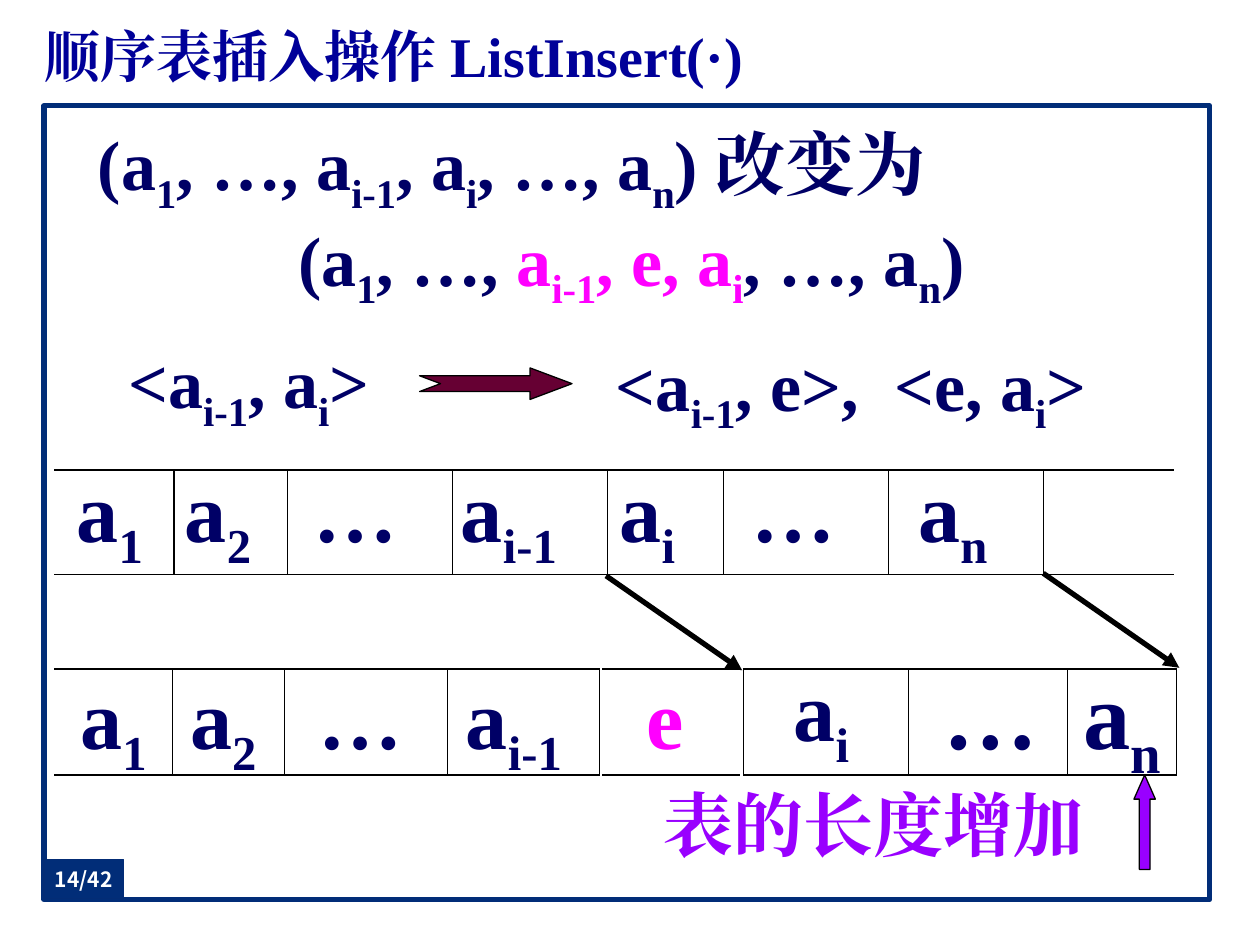
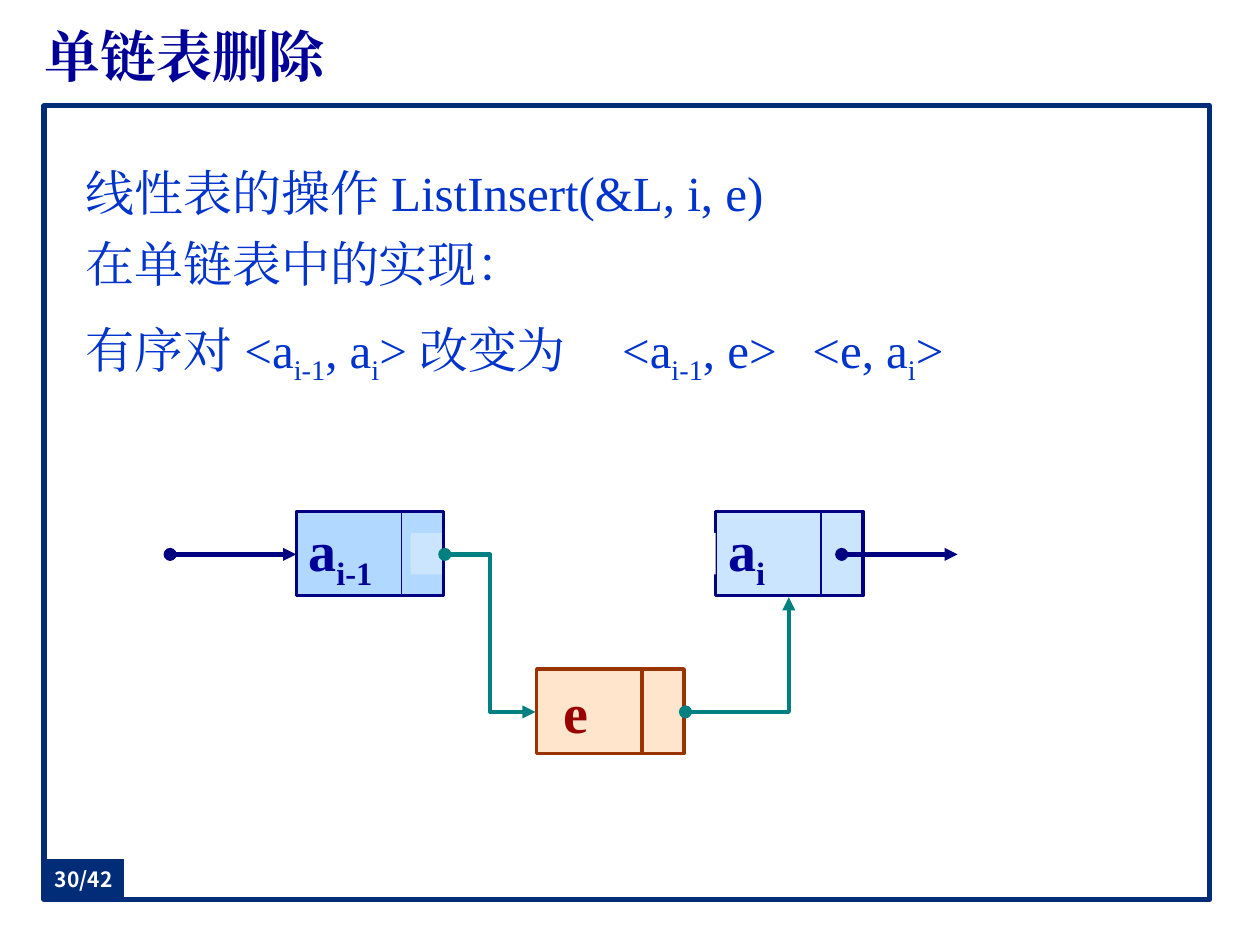
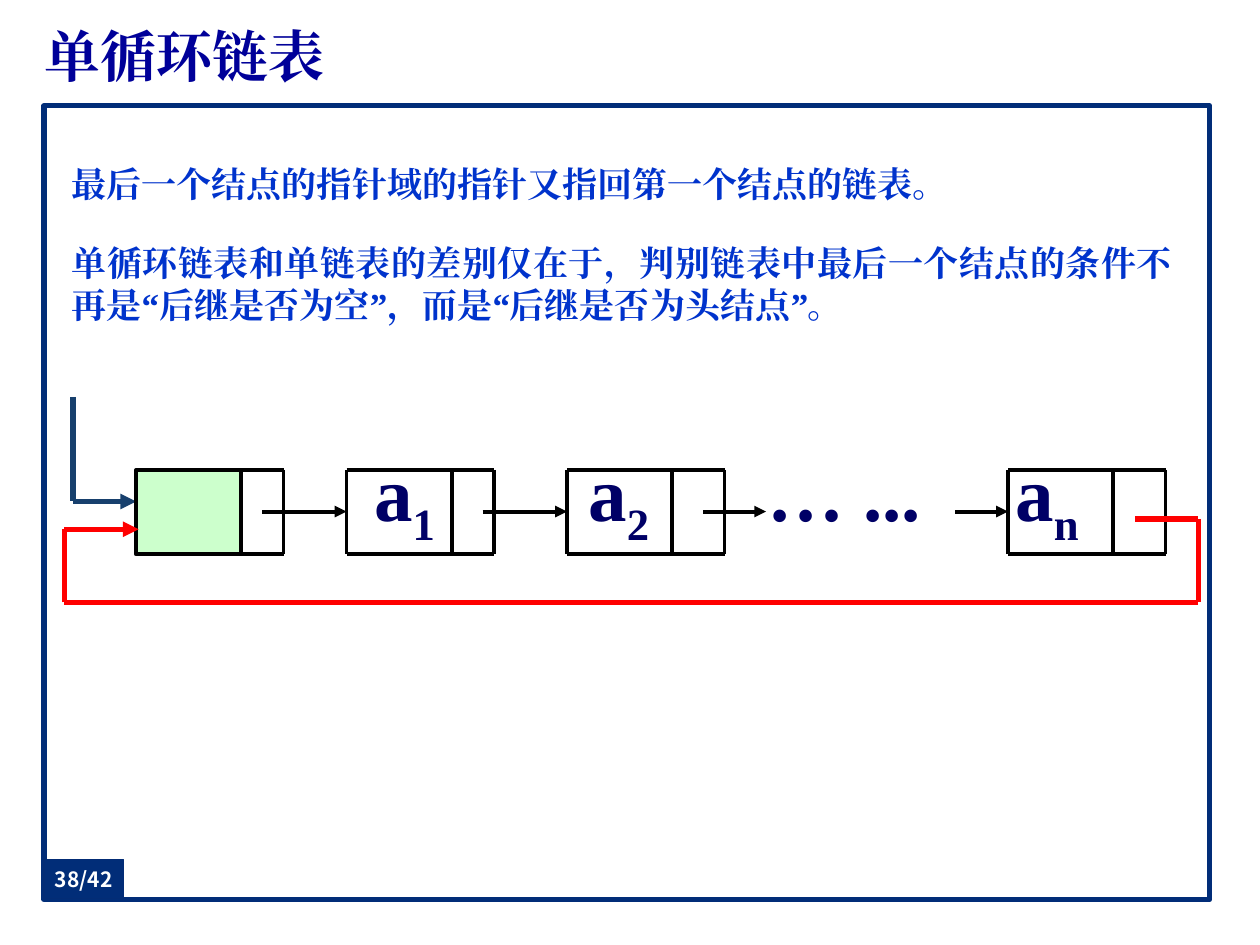
from dataclasses import dataclass
from typing import NamedTuple

from lxml import etree
from pptx import Presentation
from pptx import util as u
from pptx.dml import color as col
from pptx.enum import shapes as sh, text as tx
from pptx.oxml import ns

# Slide size and a grid of 100 columns by 75 rows
WIDE, HIGH = u.Inches(10), u.Inches(7.5)
COLS, ROWS = 100, 75


@dataclass(frozen=True)
class Theme:
    serif: str = "Times New Roman"
    sans: str = "Noto Sans CJK SC"
    white: str = "FFFFFF"
    black: str = "000000"
    frame: str = "012D78"
    edge: str = "032C75"
    title: str = "000099"
    ink: str = "000066"
    blue: str = "0033CC"
    pink: str = "FF00FF"
    violet: str = "9900FF"
    wine: str = "660033"
    navy: str = "000080"
    sky: str = "99CCFF"
    peach: str = "FFCC99"
    rust: str = "993300"
    brick: str = "990000"
    teal: str = "008080"
    steel: str = "17406D"
    mint: str = "CCFFCC"
    red: str = "FF0000"
    page_pt: float = 12
    note_pt: float = 20
    body_pt: float = 28
    head_pt: float = 32
    pair_pt: float = 40
    node_pt: float = 44
    cell_pt: float = 48
    big_pt: float = 54


T = Theme()


class Area(NamedTuple):
    left: float
    top: float
    wide: float
    high: float


class Pen(NamedTuple):
    color: str
    width: float


class Style(NamedTuple):
    size: float
    color: str = T.ink
    bold: bool = True
    font: str = T.serif


class Bit(NamedTuple):
    text: str  # pieces between bars are subscripts
    color: str = ""


class Para(NamedTuple):
    bits: tuple[Bit, ...]
    align: str = "left"
    space: float = 1.0
    tabs: tuple[float, ...] = ()


class Strip(NamedTuple):
    left: float
    right: float
    top: float
    foot: float
    bars: tuple[float, ...] = ()


ALIGN = {"left": tx.PP_ALIGN.LEFT, "mid": tx.PP_ALIGN.CENTER, "both": tx.PP_ALIGN.JUSTIFY}
HAIR = Pen(T.black, 0.75)
BOLD = Pen(T.black, 2.25)
CELL = Style(T.cell_pt)
PAIR = Style(T.pair_pt)


def at_x(cols: float) -> int:
    return round(WIDE * cols / COLS)


def at_y(rows: float) -> int:
    return round(HIGH * rows / ROWS)


def place(area: Area) -> tuple[int, int, int, int]:
    return at_x(area.left), at_y(area.top), at_x(area.wide), at_y(area.high)


def rgb(code: str) -> col.RGBColor:
    return col.RGBColor.from_string(code)


def plain(text: str, align: str = "left", space: float = 1.0,
          tabs: tuple[float, ...] = ()) -> Para:
    return Para((Bit(text),), align, space, tabs)


# Text
def add_run(para, text: str, style: Style, color: str, low: bool) -> None:
    run = para.add_run()
    run.text = text
    font = run.font
    font.size, font.bold, font.name = u.Pt(style.size), style.bold, style.font
    font.color.rgb = rgb(color or style.color)
    props = run._r.get_or_add_rPr()
    etree.SubElement(props, ns.qn("a:ea")).set("typeface", T.serif)
    if low:
        props.set("baseline", "-25000")


def write(frame, paras: list[Para], style: Style) -> None:
    for num, item in enumerate(paras):
        para = frame.add_paragraph() if num else frame.paragraphs[0]
        para.alignment = ALIGN[item.align]
        if item.space != 1:
            para.line_spacing = item.space
        if item.tabs:
            stops = etree.SubElement(para._p.get_or_add_pPr(), ns.qn("a:tabLst"))
            for tab in item.tabs:
                stop = etree.SubElement(stops, ns.qn("a:tab"))
                stop.set("pos", str(at_x(tab)))
                stop.set("algn", "l")
        for bit in item.bits:
            for turn, piece in enumerate(bit.text.split("|")):
                if piece:
                    add_run(para, piece, style, bit.color, turn % 2 == 1)


def label(slide, area: Area, paras: list[Para], style: Style, wrap: bool = True):
    frame = slide.shapes.add_textbox(*place(area)).text_frame
    frame.word_wrap = wrap
    write(frame, paras, style)
    return frame


def flush(frame) -> None:
    frame.vertical_anchor = tx.MSO_ANCHOR.MIDDLE
    frame.margin_left = frame.margin_right = frame.margin_top = frame.margin_bottom = 0


# Shapes and lines
def block(slide, area: Area, fill: str, pen: Pen | None = None,
          kind=sh.MSO_SHAPE.RECTANGLE, alpha: int = 100):
    shape = slide.shapes.add_shape(kind, *place(area))
    shape.shadow.inherit = False
    shape.fill.solid()
    shape.fill.fore_color.rgb = rgb(fill)
    if alpha < 100:
        tint = shape._element.spPr.find(".//" + ns.qn("a:srgbClr"))
        etree.SubElement(tint, ns.qn("a:alpha")).set("val", str(alpha * 1000))
    if pen:
        shape.line.color.rgb = rgb(pen.color)
        shape.line.width = u.Pt(pen.width)
    else:
        shape.line.fill.background()
    return shape


def link(slide, start: tuple[float, float], end: tuple[float, float], pen: Pen,
         head: str = "", tail: str = "", bend: int = 0) -> None:
    kind = sh.MSO_CONNECTOR.ELBOW if bend else sh.MSO_CONNECTOR.STRAIGHT
    line = slide.shapes.add_connector(
        kind, at_x(start[0]), at_y(start[1]), at_x(end[0]), at_y(end[1]))
    line.line.color.rgb = rgb(pen.color)
    line.line.width = u.Pt(pen.width)
    props = line._element.spPr
    if bend:
        props.find(ns.qn("a:prstGeom")).set("prst", f"bentConnector{bend}")
    for tag, tip in (("a:headEnd", head), ("a:tailEnd", tail)):
        if tip:
            etree.SubElement(props.find(ns.qn("a:ln")), ns.qn(tag)).set("type", tip)
    etree.SubElement(props, ns.qn("a:effectLst"))


def rule(slide, strip: Strip, pen: Pen) -> None:
    for row in (strip.top, strip.foot):
        link(slide, (strip.left, row), (strip.right, row), pen)
    for bar in strip.bars:
        link(slide, (bar, strip.top), (bar, strip.foot), pen)


def node(slide, area: Area, text: str, fill: str, pen: Pen, ink: str) -> None:
    shape = block(slide, area, fill, pen, alpha=50)
    frame = shape.text_frame
    frame.word_wrap = False
    frame.vertical_anchor = tx.MSO_ANCHOR.MIDDLE
    write(frame, [plain(text)], Style(T.head_pt, ink))


# Shared frame, title and page mark
def start(deck, title: str):
    slide = deck.slides.add_slide(deck.slide_layouts[6])
    block(slide, Area(3.5, 8.4, 92.5, 63), T.white, Pen(T.frame, 3))
    flush(label(slide, Area(3.5, 1.3, 92.5, 6.2), [plain(title, "both")],
                Style(T.head_pt, T.title)))
    return slide


def mark(slide, page: str) -> None:
    shape = block(slide, Area(3.5, 68.2, 6.3, 3.1), T.frame, Pen(T.edge, 0.75))
    flush(shape.text_frame)
    write(shape.text_frame, [plain(page, "mid")], Style(T.page_pt, T.white, True, T.sans))


# Insertion into a sequential list
def draw_seq(deck) -> None:
    slide = start(deck, "顺序表插入操作 ListInsert(·)")
    label(slide, Area(5.4, 9.1, 89.4, 14.5), [
        plain(" (a|1|, …, a|i-1|, a|i|, …, a|n|) 改变为", "both"),
        Para((Bit("(a|1|, …,"), Bit(" a|i-1|, e, a|i|", T.pink), Bit(", …, a|n|)")), "mid"),
    ], PAIR)

    # Ordered pairs before and after
    label(slide, Area(9.2, 26.4, 24.2, 7.7), [plain("<a|i-1|, a|i|>", "both")], PAIR)
    arrow = block(slide, Area(33.3, 29.2, 12.1, 2.5), T.wine, HAIR,
                  sh.MSO_SHAPE.NOTCHED_RIGHT_ARROW)
    arrow.adjustments[0], arrow.adjustments[1] = 0.5, 1.33
    label(slide, Area(47.9, 26.6, 42.8, 7.7),
          [plain("<a|i-1|, e>,\t<e, a|i|>", "both", tabs=(22.1,))], PAIR)

    # Cells before and after
    label(slide, Area(5.1, 35.9, 93.1, 9.1),
          [plain("a|1|\ta|2|\t…\ta|i-1|\ta|i|\t…\ta|n|",
                 tabs=(8.6, 18.8, 30.5, 43.1, 53.6, 66.8))], CELL)
    label(slide, Area(5.4, 52.3, 45.4, 9.1),
          [plain("a|1|\ta|2|\t…\ta|i-1|", tabs=(8.7, 18.9, 30.6))], CELL)
    for area, text, style in (
        (Area(48.6, 52.3, 6.7, 9.1), " e", Style(T.cell_pt, T.pink)),
        (Area(61.9, 51.7, 6.6, 9.1), "a|i|", CELL),
        (Area(73.8, 51.5, 9.6, 10.1), "…", Style(T.big_pt)),
        (Area(84.7, 51.5, 8.7, 16.2), "a|n|", Style(T.big_pt)),
    ):
        label(slide, area, [plain(text, "mid")], style, wrap=False)
    top, foot = 53.1, 61.5
    for strip in (
        Strip(4.3, 93.2, 37.3, 45.6, (13.8, 22.8, 35.9, 48.2, 57.4, 70.5, 82.8)),
        Strip(4.3, 47.6, top, foot, (13.7, 22.6, 35.5, 47.6)),
        Strip(47.8, 58.7, top, foot),
        Strip(59, 72.1, top, foot, (59,)),
        Strip(72.1, 84.7, top, foot, (72.1,)),
        Strip(84.7, 93.4, top, foot, (84.7, 93.4)),
    ):
        rule(slide, strip, HAIR)
    for left, row in ((48.1, 45.7), (82.8, 45.5)):
        link(slide, (left, row), (left + 10.8, row + 7.5), Pen(T.black, 3), tail="triangle")

    # Growth of the list
    label(slide, Area(51.7, 61.5, 35.3, 7.7), [plain("表的长度增加", "mid")],
          Style(T.pair_pt, T.violet), wrap=False)
    arrow = block(slide, Area(90, 61.5, 1.7, 7.5), T.violet, HAIR, sh.MSO_SHAPE.UP_ARROW)
    arrow.adjustments[0], arrow.adjustments[1] = 0.5, 1.13
    mark(slide, "14/42")


# Linked list with a node put in
def draw_link(deck) -> None:
    slide = start(deck, "单链表删除")
    label(slide, Area(5.8, 11.5, 81.6, 18.1), [
        plain("线性表的操作 ListInsert(&L, i, e)", "both", 1.2),
        plain("在单链表中的实现：", "both", 1.2),
        plain("有序对 <a|i-1|, a|i|> 改变为\t<a|i-1|, e>\t<e, a|i|>", "both", 1.4,
              (42.6, 57.7)),
    ], Style(T.body_pt, T.blue, False))

    # Nodes
    edge, thin, rust = Pen(T.navy, 1.75), Pen(T.title, 0.75), Pen(T.rust, 2)
    prev, new, succ = (Area(left, top, 11.7, 6.7)
                       for left, top in ((23.5, 40.6), (42.6, 53.1), (56.8, 40.6)))
    block(slide, prev, T.sky, edge, alpha=50)
    node(slide, succ, "a|i|", T.sky, edge, T.title)
    block(slide, Area(32.6, 42.3, 24.2, 3.3), T.white)
    node(slide, prev, "a|i-1|", T.sky, edge, T.title)
    node(slide, new, " e", T.peach, rust, T.brick)
    for area, pen in ((prev, thin), (succ, thin), (new, rust)):
        bar = area.left + 8.35
        link(slide, (bar, area.top), (bar, area.top + area.high), pen)

    # Pointers
    navy, teal = Pen(T.navy, 2.5), Pen(T.teal, 2.5)
    for begin, end, pen, bend in (
        ((13.5, 44), (23.5, 44), navy, 0),
        ((66.8, 44), (76, 44), navy, 0),
        ((35.3, 44), (42.5, 56.5), teal, 3),
        ((54.4, 56.5), (62.6, 47.4), teal, 2),
    ):
        link(slide, begin, end, pen, "oval", "triangle", bend)
    mark(slide, "30/42")


# Circular linked list
def draw_ring(deck) -> None:
    slide = start(deck, "单循环链表")
    label(slide, Area(4.7, 11.6, 72.4, 4.8),
          [plain("最后一个结点的指针域的指针又指回第一个结点的链表。", "both", 1.25)],
          Style(T.note_pt, T.blue))
    label(slide, Area(4.7, 18.7, 89.3, 7.7),
          [plain("单循环链表和单链表的差别仅在于，判别链表中最后一个结点的条件不再是"
                 "“后继是否为空”，而是“后继是否为头结点”。", "both")],
          Style(T.note_pt, T.blue, True, T.sans))

    # Nodes and forward pointers
    label(slide, Area(24.2, 34.8, 75.8, 11.8),
          [plain("\ta|1|\ta|2|\t… ...\ta|n|", tabs=(4.5, 21.5, 35.7, 55.4))],
          Style(T.node_pt))
    top, foot, mid = 37.3, 44, 40.6
    for left, right in ((10.8, 22.5), (27.5, 39.2), (45, 57.5), (80, 92.5)):
        rule(slide, Strip(left, right, top, foot, (left, left + 8.35, right)), BOLD)
    for left, right in ((20.8, 27.5), (38.3, 45), (55.8, 60.8), (75.8, 80)):
        link(slide, (left, mid), (right, mid), BOLD, tail="triangle")
    steel = Pen(T.steel, 3)
    link(slide, (5.8, 39.8), (10.8, 39.8), steel, tail="triangle")
    link(slide, (5.8, 31.5), (5.8, 39.8), steel)
    block(slide, Area(10.8, top, 8.3, 6.7), T.mint, BOLD)

    # Way back to the head node
    turns = [(90.1, 41.2), (95.1, 41.2), (95.1, 47.8), (5.1, 47.8), (5.1, 42), (11, 42)]
    for num, (begin, end) in enumerate(zip(turns, turns[1:]), 2):
        link(slide, begin, end, Pen(T.red, 3), tail="triangle" if num == len(turns) else "")
    mark(slide, "38/42")


def main() -> None:
    deck = Presentation()
    deck.slide_width, deck.slide_height = WIDE, HIGH
    for draw in (draw_seq, draw_link, draw_ring):
        draw(deck)
    deck.save("out.pptx")


if __name__ == "__main__":
    main()
